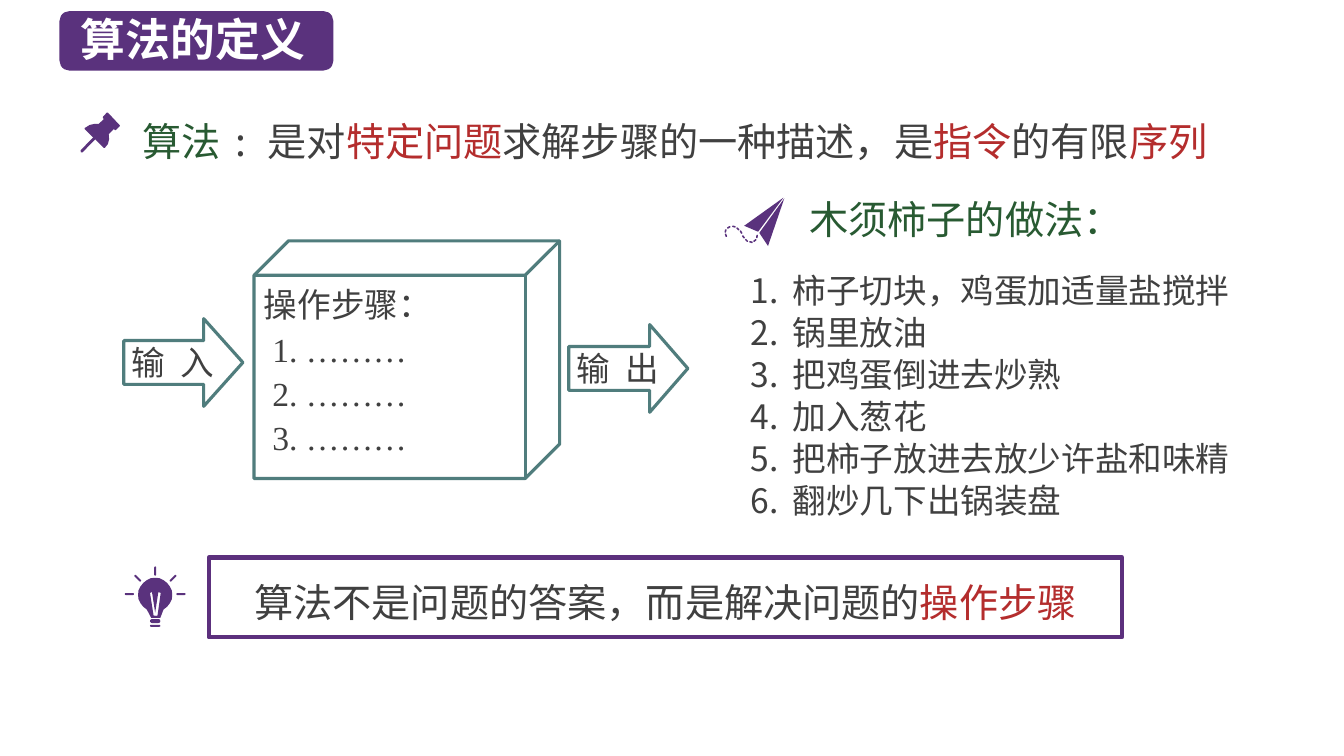
from dataclasses import dataclass
from math import cos, radians, sin

from lxml.etree import SubElement
from pptx import Presentation
from pptx.dml.color import RGBColor
from pptx.enum.shapes import MSO_SHAPE as Preset
from pptx.enum.text import MSO_ANCHOR as Anchor, MSO_AUTO_SIZE as AutoSize, PP_ALIGN as Align
from pptx.oxml.ns import qn
from pptx.util import Cm, Pt


@dataclass(frozen=True)
class Theme:
    purple: str = "5A327D"
    frame: str = "5C307D"
    teal: str = "507D7D"
    green: str = "285A32"
    red: str = "B42D2D"
    ink: str = "404040"
    white: str = "FFFFFF"
    sans: str = "Noto Sans CJK SC"
    serif: str = "Times New Roman"
    title: int = 32
    heading: int = 28
    body: int = 24


theme = Theme()


def write(shape, paragraphs, size=theme.body, color=theme.ink, font=theme.sans, bold=None,
          align=Align.LEFT, anchor=Anchor.TOP, spacing=1.0, wrap=True, tracking=0,
          numbered_from=None, hanging=(0, 0)):
    """Each paragraph is a list of runs: a string, or (string, format overrides)."""
    frame = shape.text_frame
    frame.word_wrap = wrap
    frame.auto_size = AutoSize.NONE
    frame.vertical_anchor = anchor
    for index, runs in enumerate(paragraphs):
        paragraph = frame.add_paragraph() if index else frame.paragraphs[0]
        paragraph.alignment = align
        paragraph.line_spacing = spacing
        if numbered_from is not None and index >= numbered_from:
            left, indent = hanging
            properties = paragraph._p.get_or_add_pPr()
            properties.set("marL", str(Cm(left)))
            properties.set("indent", str(Cm(indent)))
            SubElement(properties, qn("a:buFont"), typeface=font)
            SubElement(properties, qn("a:buAutoNum"), type="arabicPeriod")
        for item in runs:
            text, changes = (item, {}) if isinstance(item, str) else item
            run = paragraph.add_run()
            run.text = text
            run.font.size = Pt(size)
            run.font.bold = bold
            run.font.color.rgb = RGBColor.from_string(changes.get("color", color))
            run.font.name = font
            run_properties = run.font._element
            SubElement(run_properties, qn("a:ea"), typeface=theme.sans)
            run_properties.set("spc", str(changes.get("tracking", tracking)))


def paint(shape, fill=None, line=None, width=2.25):
    shape.shadow.inherit = False
    if fill:
        shape.fill.solid()
        shape.fill.fore_color.rgb = RGBColor.from_string(fill)
    else:
        shape.fill.background()
    if line:
        shape.line.color.rgb = RGBColor.from_string(line)
        shape.line.width = Pt(width)
    else:
        shape.line.fill.background()


presentation = Presentation()
presentation.slide_width = Cm(33.86)
presentation.slide_height = Cm(19.05)
slide = presentation.slides.add_slide(presentation.slide_layouts[5])
shapes = slide.shapes
red = {"color": theme.red}

# Title on its badge
title = shapes.title
title.left, title.top, title.width, title.height = Cm(1.78), Cm(0.18), Cm(6.96), Cm(1.63)
write(title, [["算法的定义"]], size=theme.title, color=theme.white, bold=True)
badge = shapes.add_shape(Preset.ROUNDED_RECTANGLE, Cm(1.5), Cm(0.28), Cm(6.9), Cm(1.5))
paint(badge, fill=theme.purple)
title.element.addprevious(badge.element)

# Input and output arrows
for label, left, top, head in (("输 入", 3.12, 8.03, 0.447), ("输 出", 14.33, 8.18, 0.435)):
    arrow = shapes.add_shape(Preset.RIGHT_ARROW, Cm(left), Cm(top), Cm(3), Cm(2.21))
    arrow.adjustments[1] = head
    paint(arrow, line=theme.teal)
    arrow.text_frame.margin_left = Cm(0.19)
    arrow.text_frame.margin_right = 0
    write(arrow, [[label]], anchor=Anchor.MIDDLE, tracking=300)

# Cube holding the steps
cube = shapes.add_shape(Preset.CUBE, Cm(6.4), Cm(6.07), Cm(7.7), Cm(5.99))
cube.adjustments[0] = 0.145
paint(cube, line=theme.teal)
write(cube, [["操作步骤："]] + [["………"]] * 3, font=theme.serif, spacing=1.1,
      numbered_from=1, hanging=(1.06, -0.85))

# Definition
definition = shapes.add_textbox(Cm(3.35), Cm(2.59), Cm(28.55), Cm(1.57))
write(definition, [[("算法", {"color": theme.green}), (" : ", {"tracking": 430}), "是对",
                    ("特定问题", red), "求解步骤的一种描述，是", ("指令", red),
                    "的有限", ("序列", red)]], size=theme.heading, spacing=1.2)

# Conclusion
conclusion = shapes.add_shape(Preset.RECTANGLE, Cm(5.26), Cm(14.05), Cm(23.01), Cm(2.01))
paint(conclusion, line=theme.frame, width=3)
write(conclusion, [["算法不是问题的答案，而是解决问题的", ("操作步骤", red)]],
      size=theme.heading, align=Align.CENTER, anchor=Anchor.MIDDLE, spacing=Pt(40))

# Recipe
recipe_heading = shapes.add_textbox(Cm(20.14), Cm(4.8), Cm(8.48), Cm(1.45))
write(recipe_heading, [["木须柿子的做法："]], size=theme.heading, color=theme.green, wrap=False)
recipe = shapes.add_textbox(Cm(18.67), Cm(6.63), Cm(13.23), Cm(6.6))
recipe_steps = ["柿子切块，鸡蛋加适量盐搅拌", "锅里放油", "把鸡蛋倒进去炒熟",
                "加入葱花", "把柿子放进去放少许盐和味精", "翻炒几下出锅装盘"]
write(recipe, [[step] for step in recipe_steps], font=theme.serif, spacing=Pt(30),
      numbered_from=0, hanging=(1.05, -1.05))

# Icon outlines, in hundredths of a centimetre
pin_head = [(302, 316), (272, 284), (269, 284), (259, 295), (259, 297), (262, 300), (249, 312),
            (239, 312), (226, 315), (213, 323), (213, 325), (262, 373), (264, 373), (272, 363),
            (275, 351), (274, 338), (287, 325), (290, 328), (292, 328), (302, 318)]
pin_needle = [(203, 379), (236, 345), (241, 345), (241, 350), (208, 384), (204, 384)]
plane_fold = [(1976, 500), (1935, 620), (1913, 587)]
plane_wing = [(1974, 498), (1910, 584), (1875, 569)]
bulb = [(391 + 43 * cos(radians(angle)), 1499 + 43 * sin(radians(angle)))
        for angle in range(120, 421, 15)] + [(404, 1557), (381, 1557)]
filament = [(378, 1494), (387, 1551), (394, 1552), (397, 1551), (405, 1494), (399, 1492),
            (391, 1544), (383, 1492)]
for outer, *holes in ([pin_head], [pin_needle], [plane_fold], [plane_wing], [bulb, filament]):
    builder = shapes.build_freeform(*outer[0], scale=Cm(0.01))
    builder.add_line_segments(outer[1:], close=True)
    for hole in holes:
        builder.move_to(*hole[0])
        builder.add_line_segments(hole[1:], close=True)
    paint(builder.convert_to_shape(), fill=theme.purple)

# Rounded strokes: centre x, centre y, length, thickness, angle
bulb_strokes = [(3.91, 14.39, 0.23, 0.05, 90), (3.47, 14.57, 0.22, 0.05, 45),
                (4.36, 14.57, 0.22, 0.05, -45), (3.26, 14.97, 0.23, 0.05, 0),
                (4.56, 14.97, 0.23, 0.05, 0), (3.91, 15.65, 0.26, 0.1, 0),
                (3.91, 15.77, 0.26, 0.05, 0)]
trail = [(19.07, 5.96, 100), (19.02, 6.06, -40), (18.92, 6.1, 15), (18.81, 6.06, 45),
         (18.73, 5.97, 55), (18.67, 5.85, 60), (18.59, 5.77, 45), (18.49, 5.71, 15),
         (18.36, 5.73, -30), (18.28, 5.82, -75), (18.29, 5.93, 70)]
trail_strokes = [(x, y, 0.09, 0.04, angle) for x, y, angle in trail]
for x, y, length, thickness, angle in bulb_strokes + trail_strokes:
    stroke = shapes.add_shape(Preset.ROUNDED_RECTANGLE, Cm(x - length / 2),
                              Cm(y - thickness / 2), Cm(length), Cm(thickness))
    stroke.adjustments[0] = 0.5
    stroke.rotation = angle
    paint(stroke, fill=theme.purple)

presentation.save("out.pptx")
